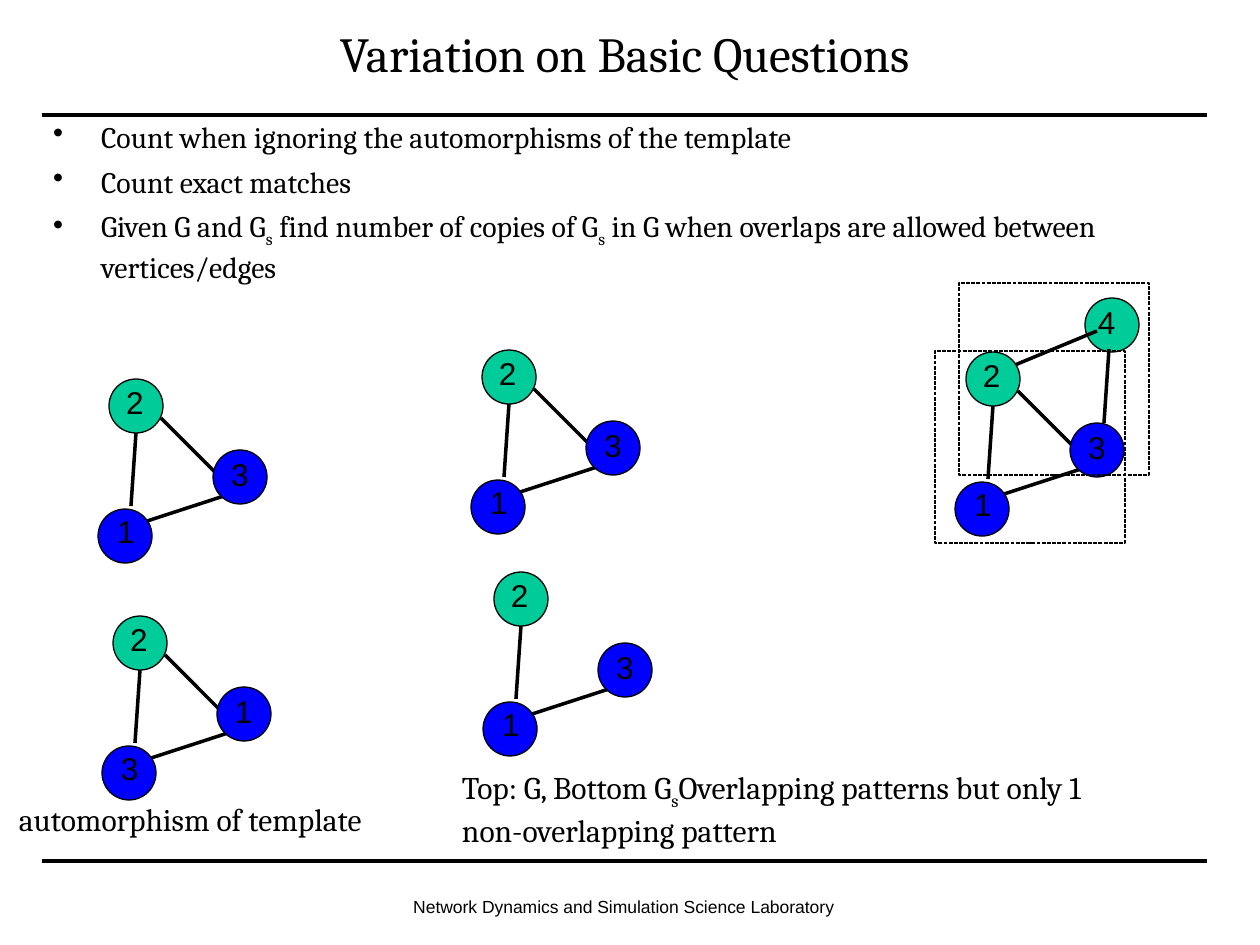
from pptx import Presentation
from pptx.dml.color import RGBColor
from pptx.enum.dml import MSO_LINE
from pptx.enum.shapes import MSO_CONNECTOR, MSO_SHAPE
from pptx.enum.text import MSO_ANCHOR, PP_ALIGN
from pptx.oxml.ns import qn
from pptx.util import Pt
from lxml import etree

STRAIGHT = MSO_CONNECTOR.STRAIGHT
OVAL, RECTANGLE = MSO_SHAPE.OVAL, MSO_SHAPE.RECTANGLE
DASHED = MSO_LINE.SQUARE_DOT
TOP, MIDDLE = MSO_ANCHOR.TOP, MSO_ANCHOR.MIDDLE
LEFT, CENTER = PP_ALIGN.LEFT, PP_ALIGN.CENTER

SCALE = 914400 / 126
THEME = {
    "ink": "000000", "green": "00CC99", "blue": "0000FF",
    "serif": "Cambria", "sans": "Arial",
    "title": 28, "body": 17, "label": 18, "footer": 10,
    "rule": 2.25, "edge": 2, "outline": 0.75,
}

# A paragraph is a list of (text, is_subscript) spans.
TITLE = [[("Variation on Basic Questions", False)]]
BULLETS = [
    [("Count when ignoring the automorphisms of the template", False)],
    [("Count exact matches", False)],
    [("Given G and G", False), ("s", True),
     (" find number of copies of G", False), ("s", True),
     (" in G when overlaps are allowed between vertices/edges", False)],
]
FOOTER = [[("Network Dynamics and Simulation Science Laboratory", False)]]
TEMPLATE_CAPTION = [[("automorphism of template", False)]]
OVERLAP_CAPTION = [[
    ("Top: G, Bottom G", False), ("s", True),
    ("Overlapping patterns but only 1 non-overlapping pattern", False),
]]

RULES = [(42, 115, 1207, 115), (42, 861, 1207, 861)]
FRAMES = [(959, 283), (935, 351)]
FRAME_SIZE = (190, 192)
NODE = 54
LABEL_SIZE = (54, 50)

# Positions inside a graph are measured from its lower-left node.
# slot: (node offset, label offset from node, colour)
SLOTS = {
    "low": ((0, 0), (6, -3), "blue"),
    "high": ((11, -130), (4, -2), "green"),
    "right": ((115, -59), (5, -1), "blue"),
    "far": ((130, -184), (0, -1), "green"),
}
EDGES = {
    "high-right": (63, -91, 120, -34),
    "right-low": (126, -13, 43, 14),
    "high-low": (38, -76, 33, -3),
    "far-right": (154, -133, 149, -59),
    "far-high": (142, -151, 60, -117),
}
PATH = ["right-low", "high-low"]
TRIANGLE = ["high-right"] + PATH
NUMBERS = {"high": "2", "low": "1", "right": "3"}
GRAPHS = [
    ((98, 509), NUMBERS, TRIANGLE),
    ((102, 746), {"high": "2", "low": "3", "right": "1"}, TRIANGLE),
    ((471, 480), NUMBERS, TRIANGLE),
    ((483, 702), NUMBERS, PATH),
    ((955, 482), {"far": "4", **NUMBERS}, list(EDGES)),
]


def px(value):
    """Turn pixels into EMU."""
    return round(value * SCALE)


def color(name):
    """Return a theme colour."""
    return RGBColor.from_string(THEME[name])


def add_line(page, ends, width):
    """Draw a straight black line without shadow."""
    line = page.shapes.add_connector(STRAIGHT, *map(px, ends))
    line.line.color.rgb = color("ink")
    line.line.width = Pt(THEME[width])
    etree.SubElement(line._element.spPr, qn("a:effectLst"))


def add_outline(page, kind, box, fill=None):
    """Draw a thinly outlined shape, hollow when no fill is named."""
    shape = page.shapes.add_shape(kind, *map(px, box))
    shape.shadow.inherit = False
    if fill:
        shape.fill.solid()
        shape.fill.fore_color.rgb = color(fill)
    else:
        shape.fill.background()
    shape.line.color.rgb = color("ink")
    shape.line.width = Pt(THEME["outline"])
    return shape


def add_text(page, box, paragraphs, face, size, align=LEFT, anchor=TOP,
             side=13, top=6):
    """Add a text box and return its paragraphs."""
    frame = page.shapes.add_textbox(*map(px, box)).text_frame
    frame.word_wrap = True
    frame.vertical_anchor = anchor
    frame.margin_left = frame.margin_right = px(side)
    frame.margin_top, frame.margin_bottom = px(top), px(6)
    for index, spans in enumerate(paragraphs):
        para = frame.add_paragraph() if index else frame.paragraphs[0]
        para.alignment = align
        para.font.name = THEME[face]
        para.font.size = Pt(THEME[size])
        para.font.color.rgb = color("ink")
        for text, is_subscript in spans:
            span = para.add_run()
            span.text = text
            if is_subscript:
                span.font._element.set("baseline", "-25000")
    return frame.paragraphs


def add_bullet(para, indent):
    """Give a paragraph a hanging bullet and space above."""
    para.space_before = Pt(5)
    properties = para._p.get_or_add_pPr()
    properties.set("marL", str(px(indent)))
    properties.set("indent", str(-px(indent)))
    bullet = etree.Element(qn("a:buChar"), char="•")
    properties.find(qn("a:defRPr")).addprevious(bullet)


def add_graph(page, origin, numbers, edges):
    """Draw one graph: the far node, edges, other nodes, then labels."""
    left, top = origin

    def add_node(slot):
        (x, y), _, fill = SLOTS[slot]
        add_outline(page, OVAL, (left + x, top + y, NODE, NODE), fill)

    if "far" in numbers:
        add_node("far")
    for name in edges:
        x1, y1, x2, y2 = EDGES[name]
        add_line(page, (left + x1, top + y1, left + x2, top + y2), "edge")
    for slot in numbers:
        if slot != "far":
            add_node(slot)
    for slot, number in numbers.items():
        (x, y), (dx, dy), _ = SLOTS[slot]
        add_text(page, (left + x + dx, top + y + dy, *LABEL_SIZE),
                 [[(number, False)]], "sans", "label")


def build():
    """Build and save the slide."""
    deck = Presentation()
    deck.slide_width, deck.slide_height = px(1260), px(945)
    page = deck.slides.add_slide(deck.slide_layouts[6])
    for ends in RULES:
        add_line(page, ends, "rule")
    add_text(page, (42, 0, 1165, 105), TITLE, "serif", "title", CENTER, MIDDLE)
    for para in add_text(page, (42, 113, 1150, 189), BULLETS, "serif", "body",
                         side=11):
        add_bullet(para, 48)
    add_text(page, (398, 882, 451, 63), FOOTER, "sans", "footer", CENTER, top=14)
    for graph in GRAPHS:
        add_graph(page, *graph)
    for corner in FRAMES:
        frame = add_outline(page, RECTANGLE, (*corner, *FRAME_SIZE))
        frame.line.dash_style = DASHED
    add_text(page, (449, 762, 649, 93), OVERLAP_CAPTION, "serif", "label")
    add_text(page, (6, 794, 402, 50), TEMPLATE_CAPTION, "serif", "label")
    deck.save("out.pptx")


build()
